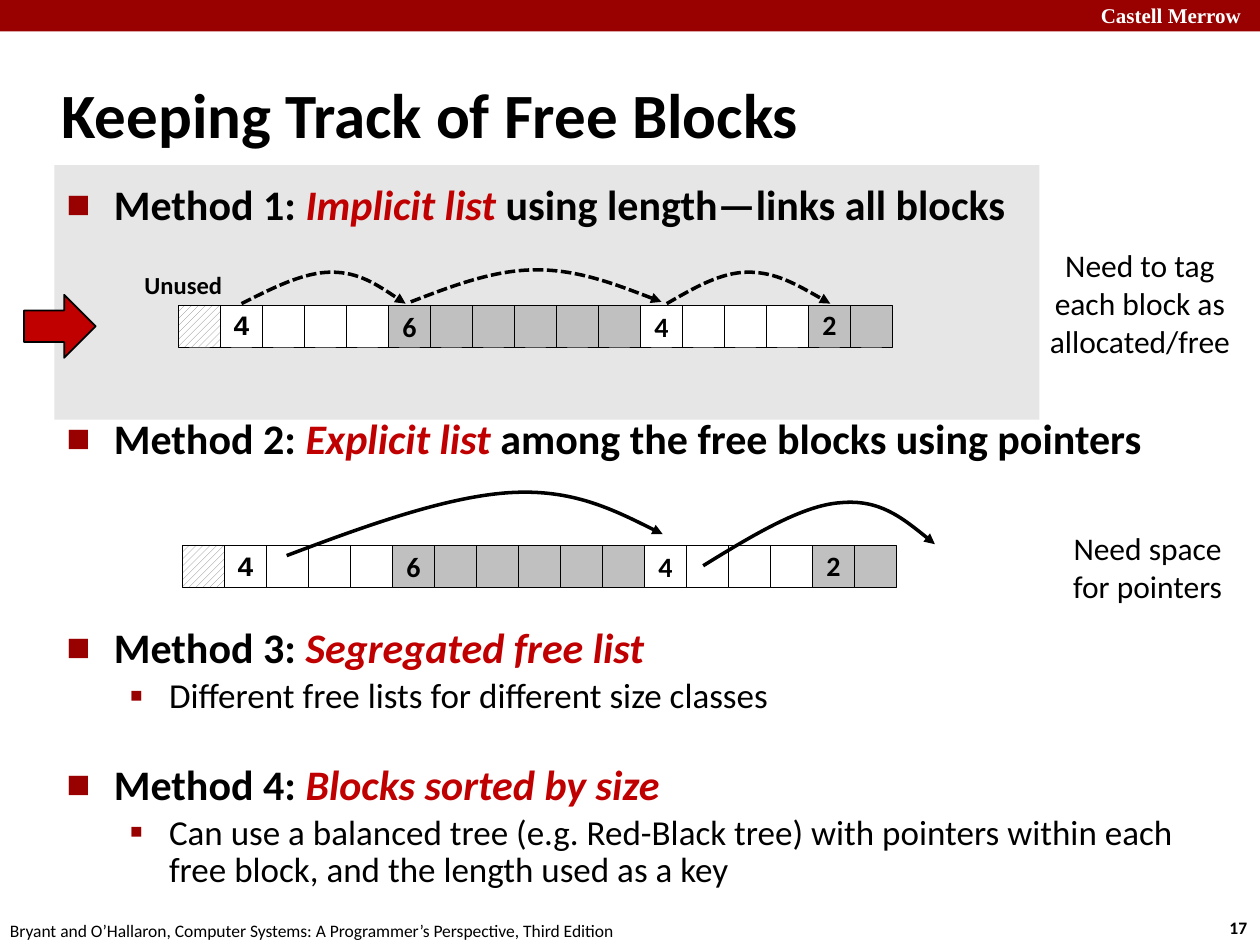
from dataclasses import dataclass
from typing import Optional

from lxml.etree import SubElement
from pptx import Presentation
from pptx.dml.color import RGBColor
from pptx.enum.dml import MSO_LINE, MSO_PATTERN
from pptx.enum.shapes import MSO_SHAPE as Preset
from pptx.enum.text import MSO_ANCHOR as Anchor, PP_ALIGN as Align
from pptx.oxml.ns import qn
from pptx.util import Pt


@dataclass(frozen=True)
class Theme:
    banner: str = "990000"
    accent: str = "C00000"
    panel: str = "E6E6E6"
    allocated: str = "C0C0C0"
    hatch: str = "808080"
    ink: str = "000000"
    paper: str = "FFFFFF"
    font: str = "Calibri"
    mono: str = "Courier New"
    serif: str = "Times New Roman"
    title: float = 36
    method: float = 24
    detail: float = 20
    note: float = 18
    cell: float = 16
    label: float = 14
    brand: float = 12
    footer: float = 10


@dataclass(frozen=True)
class Bullet:
    char: str
    percent: int
    indent: float
    hang: float


@dataclass(frozen=True)
class Method:
    name: str
    idea: str
    rest: str
    before: float
    spacing: Optional[float]
    detail: str = ""


@dataclass(frozen=True)
class Block:
    length: int
    is_allocated: bool
    font: str
    spacing: float


@dataclass(frozen=True)
class Label:
    lines: tuple
    box: tuple
    size: float
    bold: bool = False
    align: Align = Align.LEFT
    font: str = "Calibri"
    color: str = "000000"
    wrap: bool = False


THEME = Theme()
METHOD_BULLET = Bullet("■", 60, 27, 27)
DETAIL_BULLET = Bullet("▪", 110, 58.5, 22.5)
METHODS = (
    Method("Method 1: ", "Implicit list ", "using length—links all blocks", 1.5, None),
    Method("Method 2: ", "Explicit list ", "among the free blocks using pointers", 105, None),
    Method("Method 3: ", "Segregated free list", "", 95.5, 0.83,
           "Different free lists for different size classes"),
    Method("Method 4: ", "Blocks sorted by size", "", 29, 0.83,
           "Can use a balanced tree (e.g. Red-Black tree) with pointers within each "
           "free block, and the length used as a key"),
)
BLOCKS = (
    Block(4, False, THEME.mono, 0.94),
    Block(6, True, THEME.font, 1),
    Block(4, False, THEME.font, 1),
    Block(2, True, THEME.font, 0.98),
)
CELL = 24
HEAPS = ((102, 174.3), (104.2, 311.8))
LABELS = (
    Label(("Castell Merrow",), (622, -2, 103, 22), THEME.brand, True,
          font=THEME.serif, color=THEME.paper, wrap=True),
    Label(("17",), (695.5, 520.6, 26.6, 19.4), THEME.footer, True),
    Label(("Bryant and O’Hallaron, Computer Systems: A Programmer’s Perspective, Third Edition",),
          (-1.4, 522, 366, 19.4), THEME.footer),
    Label(("Need to tag", "each block as", "allocated/free"),
          (592, 137, 118.8, 72.7), THEME.note, align=Align.CENTER),
    Label(("Need space", "for pointers"), (604, 298.8, 103.7, 51), THEME.note, align=Align.CENTER),
    Label(("Unused",), (72, 151, 65.5, 26.6), THEME.label, True, Align.CENTER),
)
LENGTH_LINKS = (
    ((138, 173.5), (156, 164.5), (173.5, 155.5), (189.4, 155.5),
     (205.2, 155.5), (218.2, 164.5), (231.8, 173.5)),
    ((234.7, 172.5), (258.5, 163.4), (282.2, 154.2), (306.5, 154.2),
     (330.5, 154.2), (354.2, 163.4), (378, 172.5)),
    ((381, 173.5), (396.7, 164.5), (411.8, 155.5), (427.7, 155.5),
     (443.5, 155.5), (458.6, 164.5), (474.5, 173.5)),
)
POINTER_LINKS = (
    ((163.8, 317.5), (209.5, 300.2), (255.6, 283.7), (291.6, 281.5),
     (326.9, 279.4), (352.8, 292.3), (378.7, 305.3)),
    ((401.8, 323.3), (429.8, 306), (458.6, 288.7), (480.2, 287.3),
     (502.6, 285.1), (518.4, 298.1), (534.2, 311)),
)


def rgb(color: str) -> RGBColor:
    return RGBColor.from_string(color)


def add_run(paragraph, text: str, size: float, bold: bool = False, color: str = THEME.ink,
            italic: bool = False, font: str = THEME.font) -> None:
    run = paragraph.add_run()
    run.text = text
    run.font.name, run.font.size = font, Pt(size)
    run.font.bold, run.font.italic = bold, italic
    run.font.color.rgb = rgb(color)


def next_paragraph(frame, is_first: bool):
    return frame.paragraphs[0] if is_first else frame.add_paragraph()


def add_block(slide, preset, box: tuple, fill: str, line: float = 0):
    shape = slide.shapes.add_shape(preset, *map(Pt, box))
    shape.shadow.inherit = False
    shape.fill.solid()
    shape.fill.fore_color.rgb = rgb(fill)
    if line:
        shape.line.color.rgb = rgb(THEME.ink)
        shape.line.width = Pt(line)
    else:
        shape.line.fill.background()
    return shape


def add_label(slide, label: Label) -> None:
    frame = slide.shapes.add_textbox(*map(Pt, label.box)).text_frame
    frame.word_wrap = label.wrap
    for index, text in enumerate(label.lines):
        paragraph = next_paragraph(frame, index == 0)
        paragraph.alignment = label.align
        add_run(paragraph, text, label.size, label.bold, label.color, font=label.font)


def set_bullet(paragraph, bullet: Bullet) -> None:
    props = paragraph._p.get_or_add_pPr()
    props.set("marL", str(Pt(bullet.indent)))
    props.set("indent", str(-Pt(bullet.hang)))
    color = SubElement(props, qn("a:buClr"))
    SubElement(color, qn("a:srgbClr"), val=THEME.banner)
    SubElement(props, qn("a:buSzPct"), val=str(bullet.percent * 1000))
    SubElement(props, qn("a:buFont"), typeface=THEME.font)
    SubElement(props, qn("a:buChar"), char=bullet.char)


def add_methods(slide) -> None:
    frame = slide.shapes.add_textbox(Pt(31), Pt(98.6), Pt(653), Pt(423.4)).text_frame
    frame.word_wrap = True
    for index, method in enumerate(METHODS):
        heading = next_paragraph(frame, index == 0)
        heading.space_before, heading.line_spacing = Pt(method.before), method.spacing
        set_bullet(heading, METHOD_BULLET)
        add_run(heading, method.name, THEME.method, True)
        add_run(heading, method.idea, THEME.method, True, THEME.accent, True)
        if method.rest:
            add_run(heading, method.rest, THEME.method, True)
        if method.detail:
            detail = frame.add_paragraph()
            detail.level, detail.space_before, detail.line_spacing = 1, Pt(4), 0.88
            set_bullet(detail, DETAIL_BULLET)
            add_run(detail, method.detail, THEME.detail)


def add_heap(slide, left: float, top: float) -> None:
    unused = add_block(slide, Preset.RECTANGLE, (left, top, CELL, CELL), THEME.paper, 0.26)
    unused.fill.patterned()
    unused.fill.pattern = MSO_PATTERN.WIDE_UPWARD_DIAGONAL
    unused.fill.fore_color.rgb = rgb(THEME.hatch)
    unused.fill.back_color.rgb = rgb(THEME.paper)
    for block in BLOCKS:
        fill = THEME.allocated if block.is_allocated else THEME.paper
        for word in range(block.length):
            left += CELL
            cell = add_block(slide, Preset.RECTANGLE, (left, top, CELL, CELL), fill, 0.26)
            if word == 0:
                frame = cell.text_frame
                frame.word_wrap, frame.vertical_anchor = False, Anchor.MIDDLE
                paragraph = frame.paragraphs[0]
                paragraph.alignment, paragraph.line_spacing = Align.CENTER, block.spacing
                add_run(paragraph, str(block.length), THEME.cell, True, font=block.font)


def add_link(slide, points: tuple, dashed: bool) -> None:
    start, *others = [(Pt(x), Pt(y)) for x, y in points]
    builder = slide.shapes.build_freeform(*start)
    builder.add_line_segments(others, close=False)
    link = builder.convert_to_shape()
    link.shadow.inherit = False
    link.fill.background()
    link.line.color.rgb = rgb(THEME.ink)
    link.line.width = Pt(2)
    if dashed:
        link.line.dash_style = MSO_LINE.SQUARE_DOT
    SubElement(link.line._get_or_add_ln(), qn("a:tailEnd"), type="triangle")
    segments = list(link._element.iter(qn("a:lnTo")))
    outline = segments[0].getparent()
    for first in range(0, len(segments), 3):
        curve = SubElement(outline, qn("a:cubicBezTo"))
        for segment in segments[first:first + 3]:
            curve.append(segment[0])
            outline.remove(segment)


def add_title(slide) -> None:
    title = slide.shapes.title
    title.left, title.top, title.width, title.height = map(Pt, (28, 34.6, 597.6, 59.8))
    title.text_frame.vertical_anchor = Anchor.MIDDLE
    paragraph = title.text_frame.paragraphs[0]
    paragraph.alignment = Align.LEFT
    add_run(paragraph, "Keeping Track of Free Blocks", THEME.title, True)


def main() -> None:
    deck = Presentation()
    deck.slide_width, deck.slide_height = Pt(720), Pt(540)
    slide = deck.slides.add_slide(deck.slide_layouts[5])
    add_block(slide, Preset.RECTANGLE, (0, 0, 720, 18), THEME.banner)
    add_block(slide, Preset.RECTANGLE, (31, 94.3, 563, 145.5), THEME.panel)
    add_title(slide)
    add_methods(slide)
    for label in LABELS:
        add_label(slide, label)
    for left, top in HEAPS:
        add_heap(slide, left, top)
    for links, dashed in ((LENGTH_LINKS, True), (POINTER_LINKS, False)):
        for points in links:
            add_link(slide, points, dashed)
    add_block(slide, Preset.RIGHT_ARROW, (13.7, 168.5, 41, 36), THEME.accent, 1)
    deck.save("out.pptx")


main()
